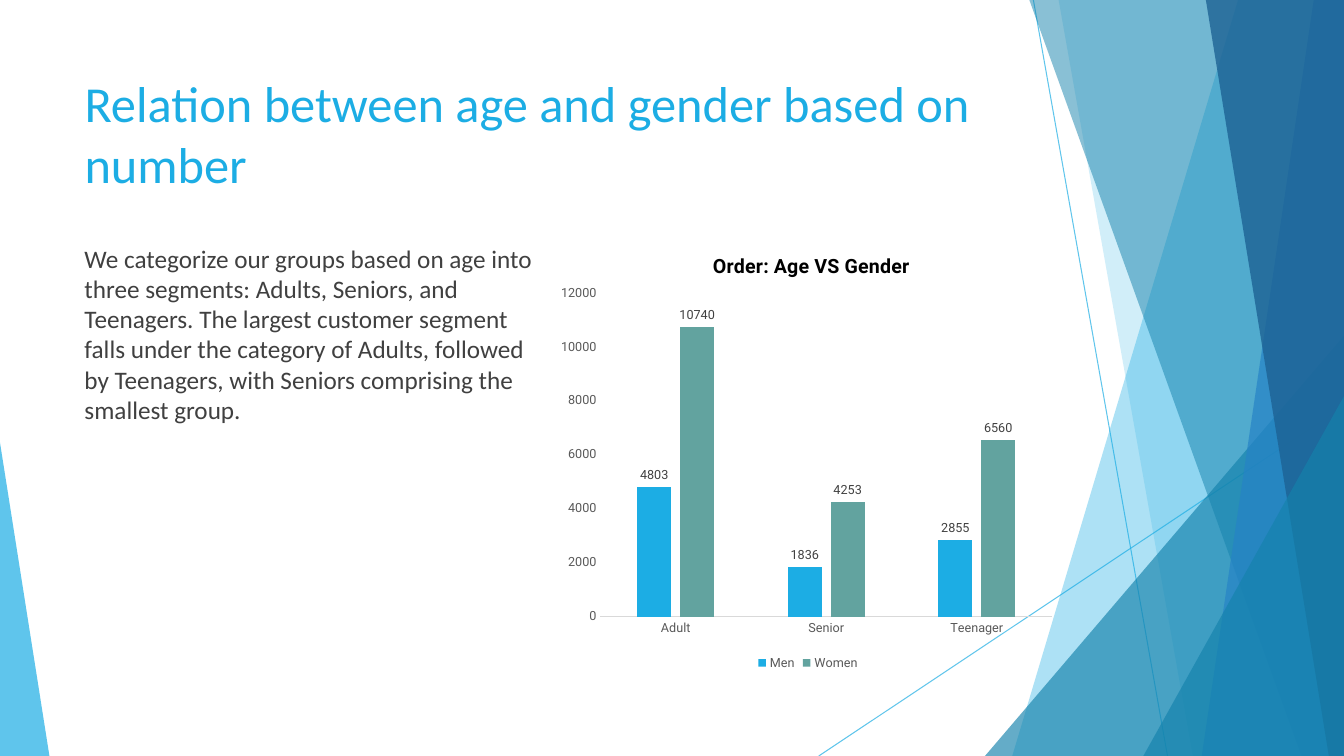
import dataclasses

import lxml.etree
import pptx
import pptx.chart.data
import pptx.dml.color
import pptx.enum.chart
import pptx.enum.shapes
import pptx.enum.text
import pptx.oxml
import pptx.oxml.ns
import pptx.util

qn = pptx.oxml.ns.qn


@dataclasses.dataclass(frozen=True)
class Theme:
    sky: str = "1CADE4"
    teal: str = "1482AC"
    blue: str = "2683C6"
    navy: str = "1D6294"
    sage: str = "62A39F"
    black: str = "000000"
    text: str = "404040"
    muted: str = "595959"
    axis: str = "D9D9D9"
    font: str = "Calibri"
    chart_font: str = "Roboto"
    title_size: float = 36
    body_size: float = 18
    chart_title_size: float = 14
    chart_size: float = 9
    thin: float = 0.75


THEME = Theme()
WIDTH = pptx.util.Inches(13.33)
HEIGHT = pptx.util.Inches(7.5)


def across(percent):
    return round(WIDTH * percent / 100)


def down(percent):
    return round(HEIGHT * percent / 100)


def area(left, top, width, height):
    return across(left), down(top), across(width), down(height)


def rgb(color):
    return pptx.dml.color.RGBColor.from_string(color)


def paint(fill, color, opacity=100):
    fill.solid()
    fill.fore_color.rgb = rgb(color)
    if opacity < 100:
        color_element = fill._xPr.find(qn("a:solidFill"))[0]
        alpha = lxml.etree.SubElement(color_element, qn("a:alpha"))
        alpha.set("val", str(opacity * 1000))


def style_font(font, name, size, color, bold=False):
    font.name = name
    font.size = pptx.util.Pt(size)
    font.bold = bold
    font.color.rgb = rgb(color)


def add_ray(slide, start, end):
    connector = slide.shapes.add_connector(
        pptx.enum.shapes.MSO_CONNECTOR.STRAIGHT,
        across(start[0]), down(start[1]), across(end[0]), down(end[1]))
    connector.line.width = pptx.util.Pt(THEME.thin)
    paint(connector.line.fill, THEME.sky, 70)
    lxml.etree.SubElement(connector._element.spPr, qn("a:effectLst"))


def finish_pane(shape, color, opacity):
    shape.shadow.inherit = False
    shape.line.fill.background()
    paint(shape.fill, color, opacity)


def add_sheet(slide, top_left, bottom_left, color, opacity):
    builder = slide.shapes.build_freeform(across(top_left), 0)
    builder.add_line_segments(
        [(WIDTH, 0), (WIDTH, HEIGHT), (across(bottom_left), HEIGHT)], close=True)
    finish_pane(builder.convert_to_shape(), color, opacity)


def add_corner(slide, left, top, width, peak, color, opacity):
    shape = slide.shapes.add_shape(
        pptx.enum.shapes.MSO_SHAPE.ISOSCELES_TRIANGLE,
        *area(left, top, width, 100 - top))
    shape.adjustments[0] = peak
    finish_pane(shape, color, opacity)


def add_text(slide, box, words, size, color, space_before=0):
    frame = slide.shapes.add_textbox(*area(*box)).text_frame
    frame.word_wrap = True
    frame.vertical_anchor = pptx.enum.text.MSO_ANCHOR.TOP
    paragraph = frame.paragraphs[0]
    paragraph.space_before = pptx.util.Pt(space_before)
    run = paragraph.add_run()
    run.text = words
    style_font(run.font, THEME.font, size, color)


def place(element, successors, **shares):
    for old in element.findall(qn("c:layout")):
        element.remove(old)
    layout = lxml.etree.Element(qn("c:layout"))
    manual = lxml.etree.SubElement(layout, qn("c:manualLayout"))
    if "w" in shares:
        lxml.etree.SubElement(manual, qn("c:layoutTarget")).set("val", "inner")
    for mode in ("xMode", "yMode"):
        lxml.etree.SubElement(manual, qn("c:" + mode)).set("val", "edge")
    for name, share in shares.items():
        lxml.etree.SubElement(manual, qn("c:" + name)).set("val", str(share))
    element.insert_element_before(layout, *successors)


def style_axis(axis):
    axis.has_major_gridlines = False
    axis.major_tick_mark = pptx.enum.chart.XL_TICK_MARK.NONE
    axis.minor_tick_mark = pptx.enum.chart.XL_TICK_MARK.NONE
    style_font(axis.tick_labels.font, THEME.chart_font, THEME.chart_size, THEME.muted)


def style_series(series, color):
    paint(series.format.fill, color)
    series.invert_if_negative = False
    labels = series.data_labels
    labels.show_value = True
    labels.position = pptx.enum.chart.XL_LABEL_POSITION.OUTSIDE_END
    style_font(labels.font, THEME.chart_font, THEME.chart_size, THEME.text)


def add_order_chart(slide, box, title, groups, orders, colors):
    data = pptx.chart.data.CategoryChartData()
    data.categories = groups
    for gender, counts in orders.items():
        data.add_series(gender, counts)
    chart = slide.shapes.add_chart(
        pptx.enum.chart.XL_CHART_TYPE.COLUMN_CLUSTERED, *area(*box), data).chart
    style_font(chart.font, THEME.chart_font, 10, THEME.black)

    chart.has_title = True
    run = chart.chart_title.text_frame.paragraphs[0].add_run()
    run.text = title
    style_font(run.font, THEME.chart_font, THEME.chart_title_size, THEME.black, True)
    chart.chart_title.include_in_layout = False
    place(chart.chart_title._element, ["c:overlay"], x=0.31, y=0.04)
    plot_area = chart._chartSpace.chart.plotArea
    place(plot_area, ["c:barChart"], x=0.1, y=0.14, w=0.87, h=0.73)

    style_axis(chart.category_axis)
    chart.category_axis.format.line.color.rgb = rgb(THEME.axis)
    chart.category_axis.format.line.width = pptx.util.Pt(THEME.thin)
    style_axis(chart.value_axis)
    chart.value_axis.format.line.fill.background()
    chart.value_axis.minimum_scale = 0
    chart.value_axis.maximum_scale = 12000
    chart.value_axis.major_unit = 2000

    plot = chart.plots[0]
    plot.gap_width = 219
    plot.overlap = -27
    plot.vary_by_categories = False
    for series, color in zip(plot.series, colors):
        style_series(series, color)

    chart.has_legend = True
    chart.legend.position = pptx.enum.chart.XL_LEGEND_POSITION.BOTTOM
    chart.legend.include_in_layout = False
    style_font(chart.legend.font, THEME.chart_font, THEME.chart_size, THEME.muted)


def add_backdrop(slide):
    add_ray(slide, (76.89, 0), (86.87, 100))
    add_ray(slide, (100, 53.73), (60.92, 100))
    add_sheet(slide, 92.12, 75.32, THEME.sky, 36)
    add_sheet(slide, 78.77, 88.75, THEME.sky, 20)
    add_corner(slide, 73.29, 44.4, 26.71, 1, THEME.teal, 66)
    add_sheet(slide, 76.59, 96.85, THEME.teal, 50)
    add_sheet(slide, 97.75, 89.42, THEME.blue, 70)
    add_sheet(slide, 89.72, 98.87, THEME.navy, 80)
    add_corner(slide, 85.07, 52.4, 14.93, 1, THEME.teal, 66)
    add_corner(slide, 0, 58.53, 3.68, 0, THEME.sky, 70)


def main():
    presentation = pptx.Presentation()
    presentation.slide_width = WIDTH
    presentation.slide_height = HEIGHT
    slide = presentation.slides.add_slide(presentation.slide_layouts[6])
    add_backdrop(slide)
    add_text(slide, (5.55, 8.93, 70.52, 19.2),
             "Relation between age and gender based on number",
             THEME.title_size, THEME.sky)
    add_text(slide, (5.55, 31.47, 36.08, 56.53),
             "We categorize our groups based on age into three segments: Adults, "
             "Seniors, and Teenagers. The largest customer segment falls under the "
             "category of Adults, followed by Teenagers, with Seniors comprising the "
             "smallest group.", THEME.body_size, THEME.text, 10)
    add_order_chart(slide, (40.81, 30.53, 38.63, 58.67), "Order: Age VS Gender",
                    ["Adult", "Senior", "Teenager"],
                    {"Men": (4803, 1836, 2855), "Women": (10740, 4253, 6560)},
                    [THEME.sky, THEME.sage])
    presentation.save("out.pptx")


main()
